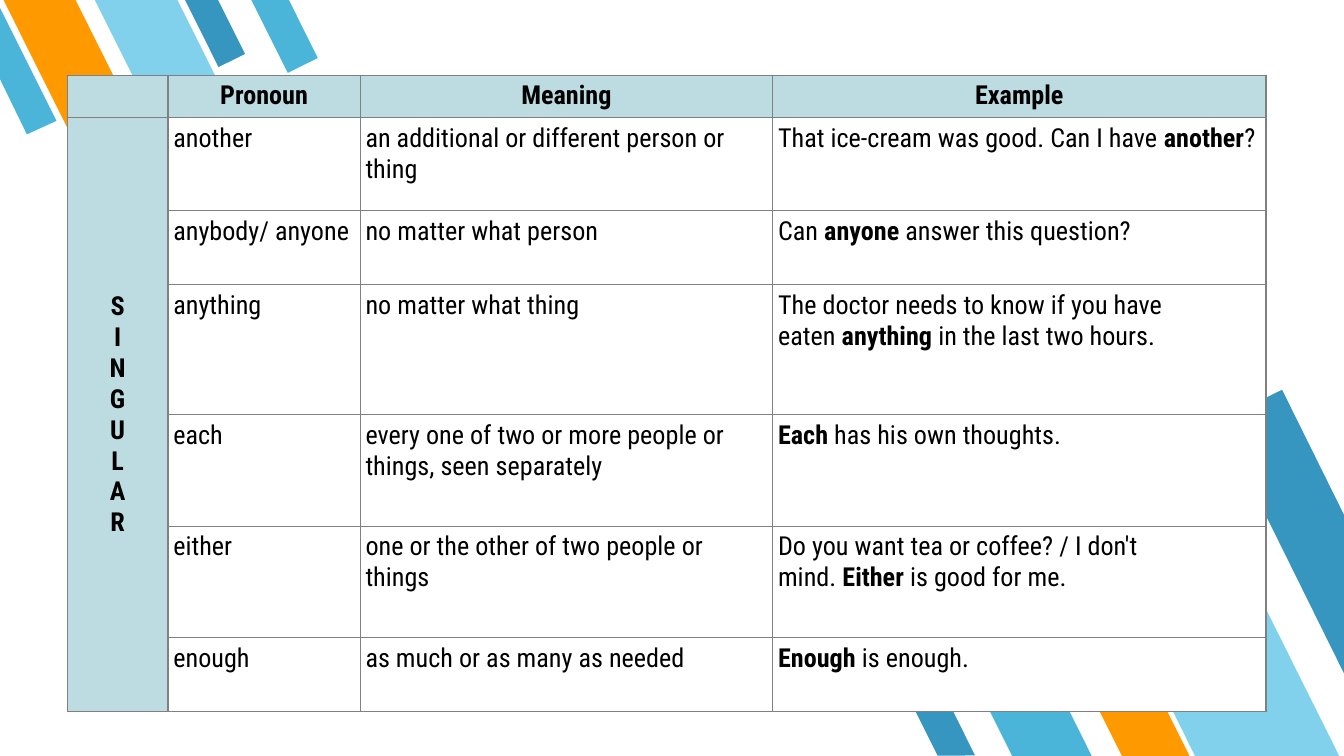
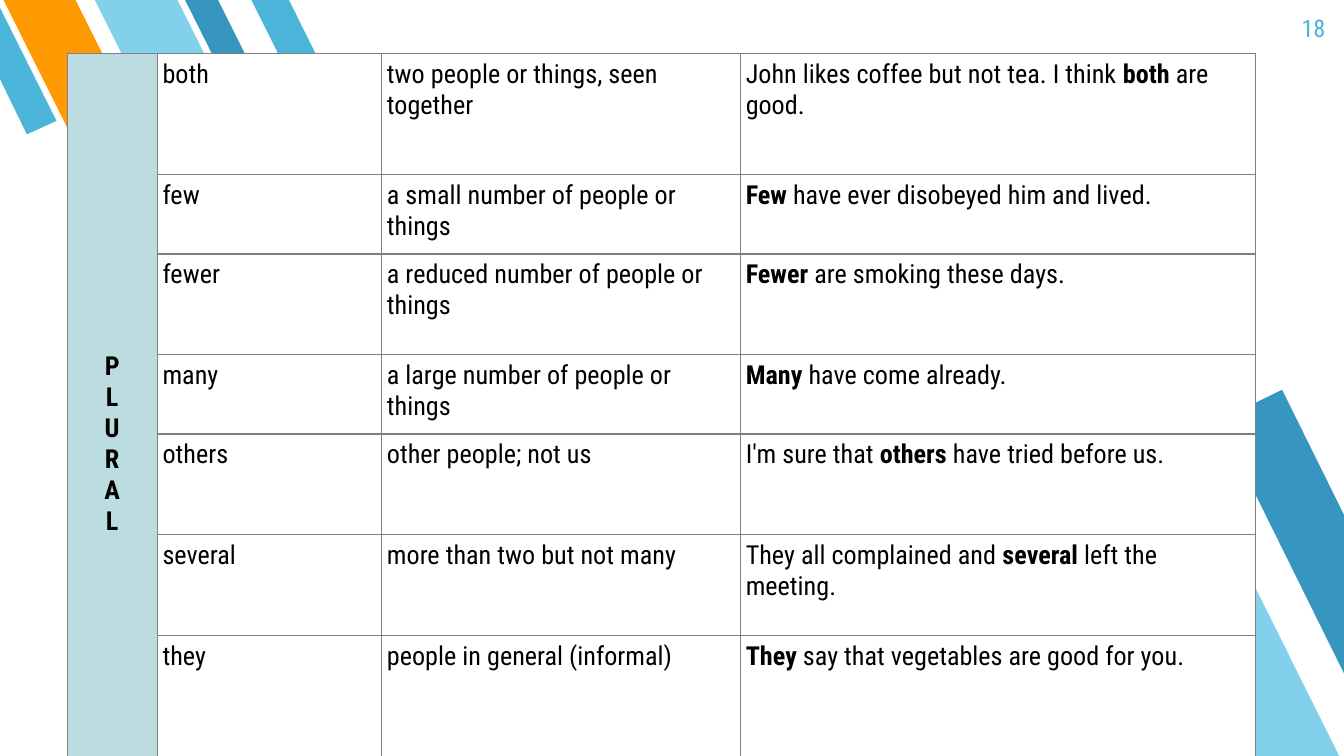
from lxml import etree
from pptx import Presentation
from pptx import util as u
from pptx.dml.color import RGBColor
from pptx.enum import shapes, text
from pptx.oxml.ns import qn

# Grid: 100 columns by 56.25 rows, so one step is a tenth of an inch
COLS, ROWS = 100, 56.25
FONT, SIZE = "Roboto Condensed", 14
BLACK, WHITE, GREY = "000000", "FFFFFF", "808080"
TINT, SKY, PALE, DEEP, ORANGE = "BCDCE1", "4BB5D9", "81D1EC", "3796BF", "FF9900"
NBSP = "\u00a0"

# Slanted stripes: left, top, width, height, rotation, colour
LOWER, UPPER = 153.5, 333.5
BARS = [
    (73.3, 45, 5.3, 13.2, LOWER, SKY),
    (85.3, 35.9, 9.6, 23.9, LOWER, PALE),
    (81.8, 46.8, 4.5, 11.1, LOWER, ORANGE),
    (68.8, 50.9, 2.5, 6.2, LOWER, DEEP),
    (14.9, -0.8, 2.2, 5.6, UPPER, DEEP),
    (2.6, -1.8, 4.8, 11.8, UPPER, ORANGE),
    (9.8, -2, 5.5, 13.7, UPPER, PALE),
    (19.9, -1, 2.5, 6.2, UPPER, SKY),
]
# Stripes cut off by the slide's edge
CUT_BARS = [
    ([(95.4, 29), (90.7, 31.3), (100, 50.1), (100, 38.3)], DEEP),
    ([(2, 10), (4.2, 9), (0, 0.6), (0, 5.9)], SKY),
]


def rgb(value):
    return RGBColor.from_string(value)


def write(p, content, size=SIZE, color=BLACK, bold=False, align=None):
    """Add a run for each part of content; *stars* mark bold words."""
    p.alignment = align
    for i, part in enumerate(content.split("*")):
        if part:
            r = p.add_run()
            r.text = part
            r.font.name, r.font.size = FONT, u.Pt(size)
            r.font.bold = bold or i % 2 == 1
            r.font.color.rgb = rgb(color)


class Deck:
    def __init__(self):
        self.prs = Presentation()
        self.prs.slide_width, self.prs.slide_height = u.Inches(10), u.Inches(5.625)
        self.s = None

    def x(self, columns):
        return round(self.prs.slide_width * columns / COLS)

    def y(self, rows):
        return round(self.prs.slide_height * rows / ROWS)

    def box(self, left, top, width, height):
        return self.x(left), self.y(top), self.x(width), self.y(height)

    def slide(self):
        self.s = self.prs.slides.add_slide(self.prs.slide_layouts[6])
        for bar in BARS:
            self.bar(*bar)
        for points, color in CUT_BARS:
            self.outline(points, color)

    def paint(self, sp, color):
        sp.shadow.inherit = False
        sp.fill.solid()
        sp.fill.fore_color.rgb = rgb(color)
        sp.line.fill.background()

    def bar(self, left, top, width, height, rotation, color):
        sp = self.s.shapes.add_shape(shapes.MSO_SHAPE.FLOWCHART_MANUAL_INPUT,
                                     *self.box(left, top, width, height))
        sp.rotation = rotation
        sp._element.spPr.find(qn("a:xfrm")).set("flipH", "1")
        self.paint(sp, color)

    def outline(self, points, color):
        start, *rest = [(self.x(px), self.y(py)) for px, py in points]
        builder = self.s.shapes.build_freeform(*start)
        builder.add_line_segments(rest, close=True)
        self.paint(builder.convert_to_shape(), color)

    def page_number(self, number):
        tf = self.s.shapes.add_textbox(*self.box(93.6, 0, 6, 4.3)).text_frame
        tf.word_wrap = True
        tf.margin_left = tf.margin_right = self.x(1)
        tf.margin_top = tf.margin_bottom = self.y(1)
        write(tf.paragraphs[0], number, size=13, color=SKY,
              align=text.PP_ALIGN.RIGHT)

    def border(self, cell):
        tc_pr = cell._tc.get_or_add_tcPr()
        for i, side in enumerate(("lnL", "lnR", "lnT", "lnB")):
            ln = etree.Element(qn("a:" + side), w=str(u.Pt(0.75)))
            fill = etree.SubElement(ln, qn("a:solidFill"))
            etree.SubElement(fill, qn("a:srgbClr"), val=GREY)
            tc_pr.insert(i, ln)

    def cell(self, cell, content, heading):
        cell.margin_left = cell.margin_right = self.x(0.4)
        cell.margin_top = cell.margin_bottom = self.y(0.4)
        cell.fill.solid()
        cell.fill.fore_color.rgb = rgb(TINT if heading else WHITE)
        self.border(cell)
        p = cell.text_frame.paragraphs[0]
        if content:
            write(p, content, bold=heading,
                  align=text.PP_ALIGN.CENTER if heading else None)
        else:
            etree.SubElement(p._p, qn("a:endParaRPr"), sz=str(SIZE * 100))

    def table(self, top, widths, heights, label, entries, header=None):
        """A pronoun table with one label running down its first column."""
        first = 1 if header else 0
        frame = self.s.shapes.add_table(len(heights), len(widths), *self.box(
            5, top, sum(widths), sum(heights)))
        tb = frame.table
        tb.first_row = tb.horz_banding = False
        for column, width in zip(tb.columns, widths):
            column.width = self.x(width)
        for row, height in zip(tb.rows, heights):
            row.height = self.y(height)

        # Cells: hard spaces hold the bold word to its neighbours
        grid = ([header] if header else []) + entries
        for i, line in enumerate(grid):
            for j, content in enumerate(("",) + line):
                content = content.replace(" *", NBSP + "*").replace("* ", "*" + NBSP)
                self.cell(tb.cell(i, j), content, j == 0 or i < first)

        # Label, one letter a line
        side = tb.cell(first, 0)
        side.merge(tb.cell(len(heights) - 1, 0))
        side.vertical_anchor = text.MSO_ANCHOR.MIDDLE
        p = side.text_frame.paragraphs[0]
        for i, letter in enumerate(label):
            if i:
                p.add_line_break()
                p._p.findall(qn("a:br"))[-1].append(
                    etree.Element(qn("a:rPr"), sz=str(SIZE * 100), b="1"))
            write(p, letter, bold=True, align=text.PP_ALIGN.CENTER)


deck = Deck()

# Slide 1: singular pronouns
deck.slide()
deck.table(
    5.6, [7.5, 14.3, 30.7, 36.7], [2.7, 6.9, 5.5, 9.7, 8.3, 8.3, 5.5], "SINGULAR",
    [
        ("another", "an additional or different person or thing",
         "That ice-cream was good. Can I have *another*?"),
        ("anybody/ anyone", "no matter what person",
         "Can *anyone* answer this question?"),
        ("anything", "no matter what thing",
         "The doctor needs to know if you have eaten *anything* in the last two hours."),
        ("each", "every one of two or more people or things, seen separately",
         "*Each* has his own thoughts."),
        ("either", "one or the other of two people or things",
         "Do you want tea or coffee? / I don't mind. *Either* is good for me."),
        ("enough", "as much or as many as needed", "*Enough* is enough."),
    ],
    header=("Pronoun", "Meaning", "Example"))

# Slide 2: plural pronouns; the last row runs to the slide's foot
deck.slide()
deck.page_number("18")
deck.table(
    4, [6.7, 16.7, 26.7, 38.3], [9, 5.9, 7.5, 5.9, 7.5, 7.5, 14.5], "PLURAL",
    [
        ("both", "two people or things, seen together",
         "John likes coffee but not tea. I think *both* are good."),
        ("few", "a small number of people or things",
         "*Few* have ever disobeyed him and lived."),
        ("fewer", "a reduced number of people or things",
         "*Fewer* are smoking these days."),
        ("many", "a large number of people or things", "*Many* have come already."),
        ("others", "other people; not us",
         "I'm sure that *others* have tried before us."),
        ("several", "more than two but not many",
         "They all complained and *several* left the meeting."),
        ("they", "people in general (informal)",
         "*They* say that vegetables are good for you."),
    ])

deck.prs.save("out.pptx")
